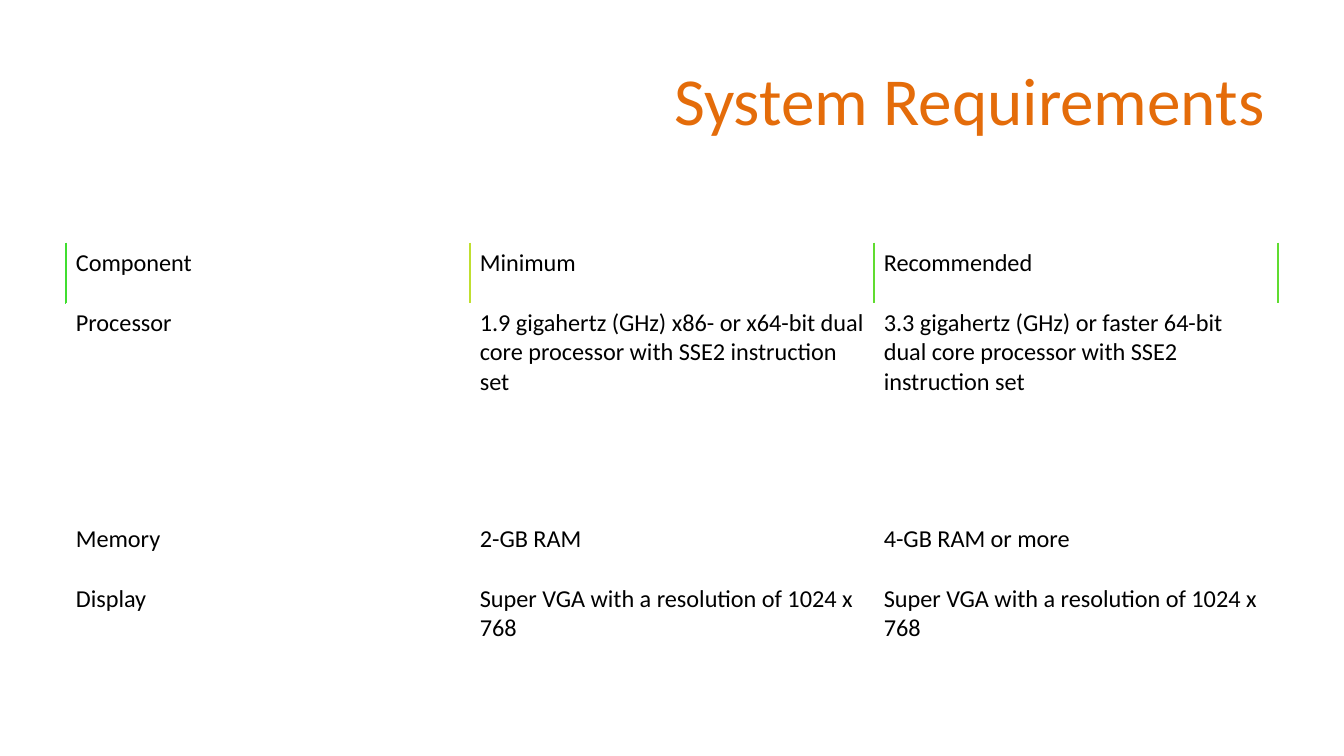
from lxml import etree
from pptx import Presentation
from pptx.dml.color import RGBColor
from pptx.enum.text import MSO_ANCHOR, PP_ALIGN
from pptx.oxml.ns import qn
from pptx.util import Pt

RIGHT = PP_ALIGN.RIGHT
MIDDLE = MSO_ANCHOR.MIDDLE

LEFT, WIDTH = 35.5, 649.2
HEIGHTS = [32.2, 115.7, 32.2, 60]
WHITE = "FFFFFF"
EDGES = ["40DE30", "C0DF30", "60DC30", "60DC30"]
INSETS = {
    "margin_left": Pt(5.2),
    "margin_right": Pt(5.2),
    "margin_top": Pt(2.6),
    "margin_bottom": Pt(2.6),
}
ROWS = [
    ["Component", "Minimum", "Recommended"],
    [
        "Processor",
        "1.9 gigahertz (GHz) x86- or x64-bit dual core processor with SSE2 instruction set",
        "3.3 gigahertz (GHz) or faster 64-bit dual core processor with SSE2 instruction set",
    ],
    ["Memory", "2-GB RAM", "4-GB RAM or more"],
    [
        "Display",
        "Super VGA with a resolution of 1024 x 768",
        "Super VGA with a resolution of 1024 x 768",
    ],
]


def color(code):
    return RGBColor.from_string(code)


def apply(item, values):
    for name, value in values.items():
        setattr(item, name, value)


def write(frame, text, size, code):
    para = frame.paragraphs[0]
    run = para.add_run()
    run.text = text
    apply(run.font, {"size": Pt(size), "name": "Calibri"})
    run.font.color.rgb = color(code)
    return para


def add_title(slide, text):
    box = slide.shapes.add_textbox(Pt(LEFT), Pt(22.5), Pt(WIDTH), Pt(60.5))
    apply(box.text_frame, {"word_wrap": True, "vertical_anchor": MIDDLE})
    write(box.text_frame, text, 36, "E46C0A").alignment = RIGHT


def add_border(cell, side, code, width):
    props = cell._tc.get_or_add_tcPr()
    line = etree.SubElement(props, qn(f"a:ln{side}"), w=str(Pt(width)))
    fill = etree.SubElement(line, qn("a:solidFill"))
    etree.SubElement(fill, qn("a:srgbClr"), val=code)


def fill_cell(cell, text, left, right, width):
    apply(cell, INSETS)
    add_border(cell, "L", left, width)
    add_border(cell, "R", right, width)
    add_border(cell, "T", WHITE, 0.75)
    add_border(cell, "B", WHITE, 0.75)
    cell.fill.solid()
    cell.fill.fore_color.rgb = color(WHITE)
    write(cell.text_frame, text, 13, "000000")


def add_grid(slide, rows):
    count = len(rows[0])
    frame = slide.shapes.add_table(
        len(rows), count, Pt(LEFT), Pt(130.3), Pt(WIDTH), Pt(sum(HEIGHTS))
    )
    table = frame.table
    for col in table.columns:
        col.width = Pt(WIDTH / count)
    for row, height in zip(table.rows, HEIGHTS):
        row.height = Pt(height)
    for r, texts in enumerate(rows):
        edges = [WHITE] * (count + 1) if r else EDGES
        width = 0.75 if r else 1
        for c, text in enumerate(texts):
            fill_cell(table.cell(r, c), text, edges[c], edges[c + 1], width)


def main():
    deck = Presentation()
    apply(deck, {"slide_width": Pt(720), "slide_height": Pt(405)})
    slide = deck.slides.add_slide(deck.slide_layouts[6])
    add_title(slide, "System Requirements")
    add_grid(slide, ROWS)
    deck.save("out.pptx")


if __name__ == "__main__":
    main()
